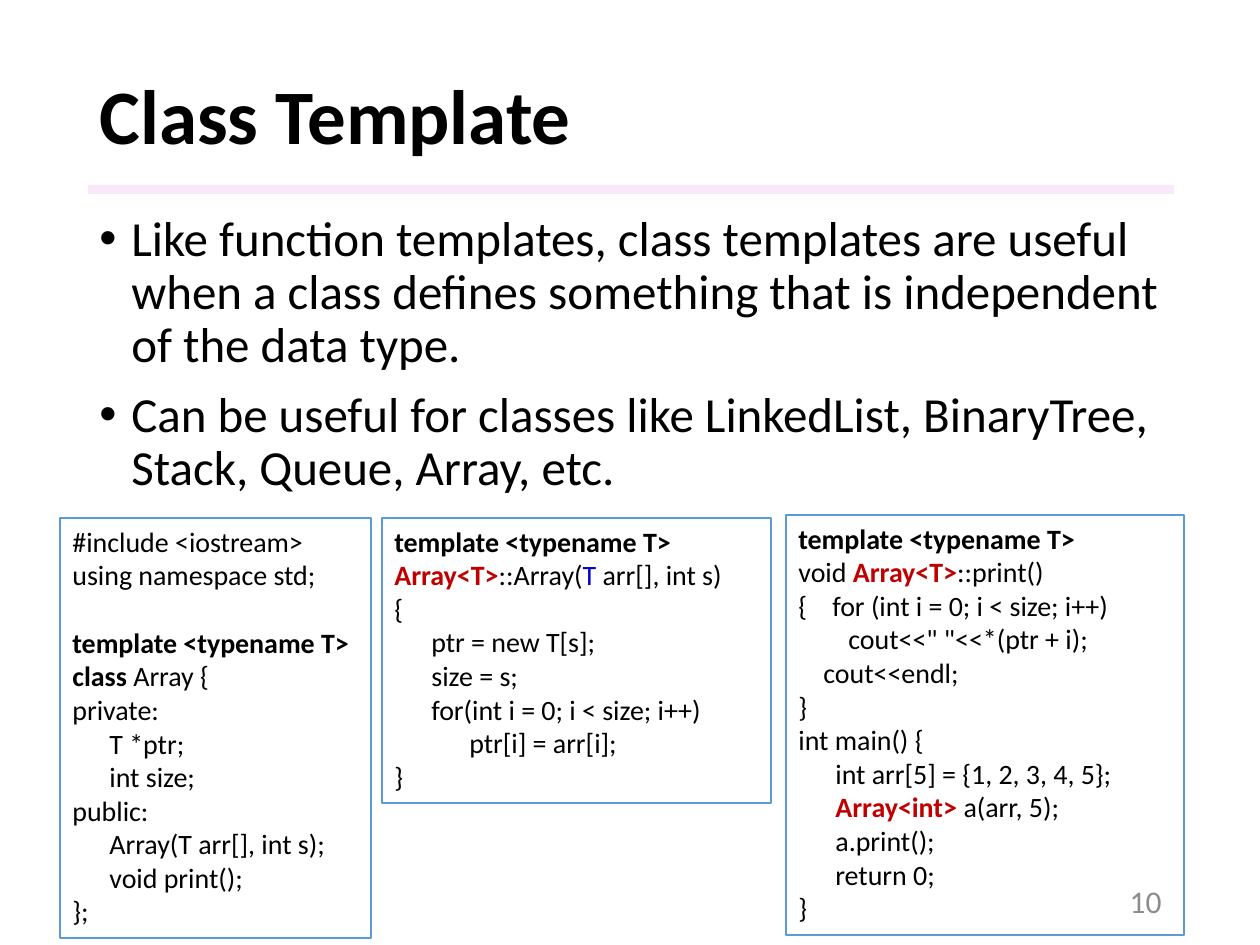
from lxml.etree import SubElement
from pptx import Presentation
from pptx.dml.color import RGBColor
from pptx.enum.shapes import MSO_SHAPE
from pptx.enum.text import MSO_ANCHOR, MSO_AUTO_SIZE, PP_ALIGN
from pptx.oxml.ns import qn
from pptx.util import Pt

PX_PER_INCH = 126
FONT = "Calibri"
BLACK, RED, BLUE, GREY = "000000", "C00000", "0000CC", "8C8C8C"
BORDER, LILAC = "5B9BD5", "F3D2F4"
CODE_STOPS = (37, 75)
TEMPLATE_LINE = [("template <typename T>", BLACK, True)]

BULLETS = [
    "Like function templates, class templates are useful when a class defines "
    "something that is independent of the data type.",
    "Can be useful for classes like LinkedList, BinaryTree, Stack, Queue, Array, etc.",
]
DECLARATION = [
    "#include <iostream>",
    "using namespace std;",
    TEMPLATE_LINE,
    [("class", BLACK, True), (" Array {", BLACK, False)],
    "private:",
    "\tT *ptr;",
    "\tint size;",
    "public:",
    "\tArray(T arr[], int s);",
    "\tvoid print();",
    "};",
]
CONSTRUCTOR = [
    TEMPLATE_LINE,
    [("Array<T>", RED, True), ("::Array(", BLACK, False),
     ("T ", BLUE, False), ("arr[], int s)", BLACK, False)],
    "{",
    "\tptr = new T[s];",
    "\tsize = s;",
    "\tfor(int i = 0; i < size; i++)",
    "\t\tptr[i] = arr[i];",
    "}",
]
PRINT_AND_MAIN = [
    TEMPLATE_LINE,
    [("void ", BLACK, False), ("Array<T>", RED, True), ("::print()", BLACK, False)],
    "{\tfor (int i = 0; i < size; i++)",
    "\t\tcout<<\" \"<<*(ptr + i);",
    "\tcout<<endl;",
    "}",
    "int main() {",
    "\tint arr[5] = {1, 2, 3, 4, 5};",
    [("\t", BLACK, False), ("Array<int> ", RED, True), ("a(arr, 5);", BLACK, False)],
    "\ta.print();",
    "\treturn 0;",
    "}",
]


def px(length):
    return round(length * 914400 / PX_PER_INCH)


def color(value):
    return RGBColor.from_string(value)


def add_run(paragraph, text, size, hue=BLACK, bold=False):
    run = paragraph.add_run()
    run.text = text
    run.font.name = FONT
    run.font.size = Pt(size)
    run.font.bold = bold
    run.font.color.rgb = color(hue)


def add_frame(slide, box):
    holder = slide.shapes.add_textbox(*map(px, box))
    holder.text_frame.word_wrap = True
    return holder


def next_paragraph(frame, index):
    return frame.paragraphs[0] if index == 0 else frame.add_paragraph()


def set_tab_stops(paragraph, stops):
    tab_list = SubElement(paragraph._p.get_or_add_pPr(), qn("a:tabLst"))
    for stop in stops:
        SubElement(tab_list, qn("a:tab"), pos=str(px(stop)), algn="l")


def add_title(slide, text, box):
    title = slide.shapes.title
    title.left, title.top, title.width, title.height = map(px, box)
    frame = title.text_frame
    frame.vertical_anchor = MSO_ANCHOR.MIDDLE
    frame.auto_size = MSO_AUTO_SIZE.NONE
    heading = frame.paragraphs[0]
    heading.alignment = PP_ALIGN.LEFT
    heading.line_spacing = 0.9
    add_run(heading, text, 44, bold=True)


def add_underline(slide, box):
    underline = slide.shapes.add_shape(MSO_SHAPE.RECTANGLE, *map(px, box))
    underline.shadow.inherit = False
    underline.line.fill.background()
    underline.fill.solid()
    underline.fill.fore_color.rgb = color(LILAC)
    hue = underline._element.spPr.find(".//" + qn("a:srgbClr"))
    SubElement(hue, qn("a:alpha"), val="50000")


def add_bullets(slide, points, box):
    frame = add_frame(slide, box).text_frame
    for index, point in enumerate(points):
        paragraph = next_paragraph(frame, index)
        paragraph.line_spacing = 0.9
        paragraph.space_before = Pt(10)
        properties = paragraph._p.get_or_add_pPr()
        properties.set("marL", str(px(32)))
        properties.set("indent", str(px(-32)))
        SubElement(properties, qn("a:buFont"), typeface="Arial")
        SubElement(properties, qn("a:buChar"), char="•")
        add_run(paragraph, point, 28)


def add_code(slide, lines, box, wrap=True, gap_before=None, special_stops=None):
    listing = add_frame(slide, box)
    listing.line.color.rgb = color(BORDER)
    listing.line.width = Pt(0.75)
    frame = listing.text_frame
    frame.word_wrap = wrap
    frame.auto_size = MSO_AUTO_SIZE.SHAPE_TO_FIT_TEXT
    for index, line in enumerate(lines):
        paragraph = next_paragraph(frame, index)
        paragraph.alignment = PP_ALIGN.LEFT
        if index == gap_before:
            paragraph.space_before = px(34)
        set_tab_stops(paragraph, (special_stops or {}).get(index, CODE_STOPS))
        parts = [(line, BLACK, False)] if isinstance(line, str) else line
        for text, hue, bold in parts:
            add_run(paragraph, text, 16, hue, bold)


def add_page_number(slide, number, box):
    frame = add_frame(slide, box).text_frame
    frame.vertical_anchor = MSO_ANCHOR.MIDDLE
    frame.paragraphs[0].alignment = PP_ALIGN.RIGHT
    add_run(frame.paragraphs[0], number, 18, GREY)


def main():
    deck = Presentation()
    deck.slide_width, deck.slide_height = px(1260), px(945)
    slide = deck.slides.add_slide(deck.slide_layouts[5])
    add_underline(slide, (88, 185, 1086, 9))
    add_title(slide, "Class Template", (87, 50, 1086, 140))
    add_bullets(slide, BULLETS, (87, 208, 1086, 297))
    add_page_number(slide, "10", (890, 876, 284, 50))
    add_code(slide, DECLARATION, (60, 518, 311, 420), wrap=False, gap_before=2)
    add_code(slide, CONSTRUCTOR, (382, 518, 389, 285))
    add_code(slide, PRINT_AND_MAIN, (786, 515, 398, 420),
             special_stops={2: (34,), 3: (25, 50), 4: (25,)})
    deck.save("out.pptx")


if __name__ == "__main__":
    main()
